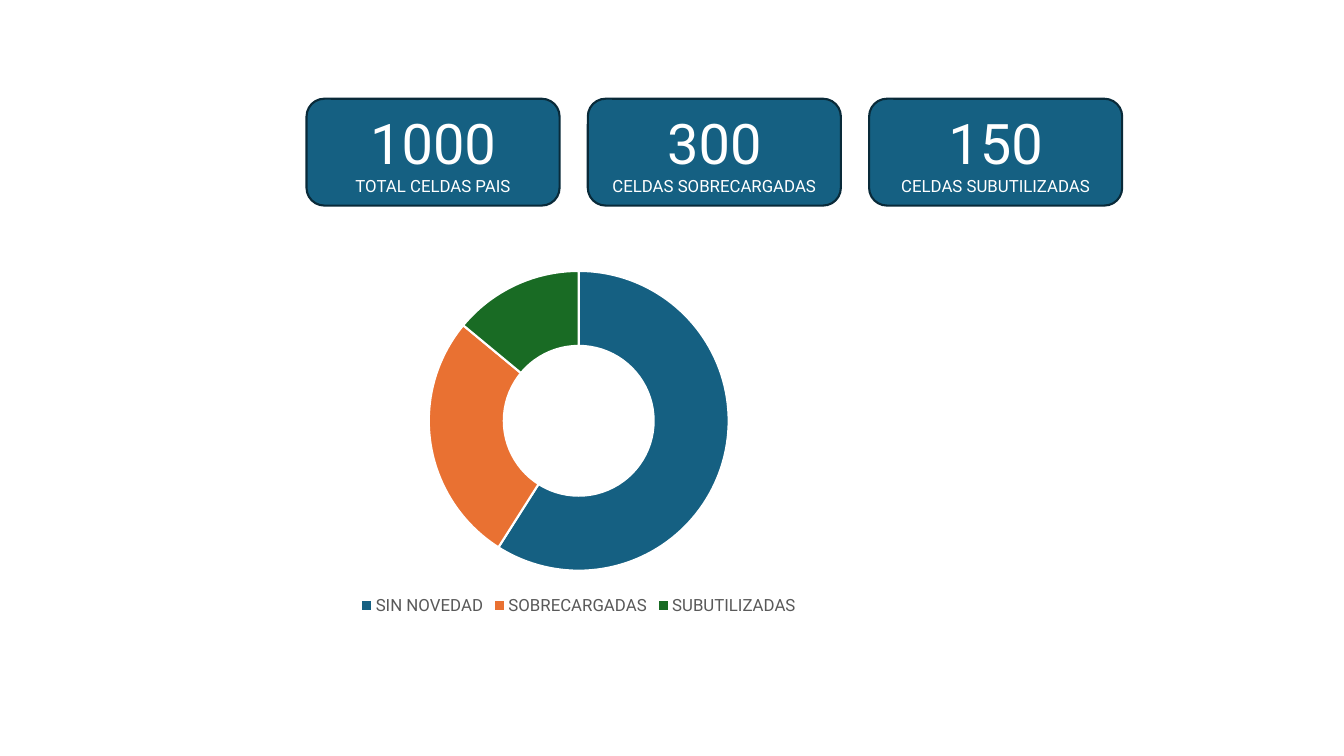
from pptx import Presentation
from pptx.chart.data import CategoryChartData
from pptx.dml.color import RGBColor
from pptx.enum.chart import XL_CHART_TYPE, XL_LEGEND_POSITION
from pptx.enum.shapes import MSO_SHAPE
from pptx.enum.text import MSO_ANCHOR, PP_ALIGN
from pptx.util import Inches, Pt

FONT = "Roboto"
BLUE, ORANGE, GREEN = "156082", "E97132", "196B24"
NAVY, WHITE, GREY = "092A39", "FFFFFF", "595959"

# Grid: cards repeat every COLUMN inches from the left margin
LEFT, COLUMN = 3.04, 2.79
CARD_TOP, CARD_WIDTH, CARD_HEIGHT = 0.98, 2.51, 1.06
CHART_TOP, CHART_WIDTH, CHART_HEIGHT = 2.55, 5.4, 3.6

CARDS = [
    ("1000", "TOTAL CELDAS PAIS"),
    ("300", "CELDAS SOBRECARGADAS"),
    ("150", "CELDAS SUBUTILIZADAS"),
]
STATES = [
    ("SIN NOVEDAD", 59, BLUE),
    ("SOBRECARGADAS", 27, ORANGE),
    ("SUBUTILIZADAS", 14, GREEN),
]


def color(hex_code):
    return RGBColor.from_string(hex_code)


def style_font(font, size, hex_code):
    font.name = FONT
    font.size = Pt(size)
    font.color.rgb = color(hex_code)


def paint(fmt, fill, line):
    fmt.fill.solid()
    fmt.fill.fore_color.rgb = color(fill)
    fmt.line.color.rgb = color(line)
    fmt.line.width = Pt(1.5)


def add_card(slide, column, count, label):
    card = slide.shapes.add_shape(
        MSO_SHAPE.ROUNDED_RECTANGLE,
        Inches(LEFT + column * COLUMN), Inches(CARD_TOP),
        Inches(CARD_WIDTH), Inches(CARD_HEIGHT))
    card.shadow.inherit = False
    paint(card, BLUE, NAVY)
    frame = card.text_frame
    frame.word_wrap = True
    frame.vertical_anchor = MSO_ANCHOR.MIDDLE
    lines = (frame.paragraphs[0], frame.add_paragraph())
    for line, text, size in zip(lines, (count, label), (40, 12)):
        line.alignment = PP_ALIGN.CENTER
        run = line.add_run()
        run.text = text
        style_font(run.font, size, WHITE)


def add_state_doughnut(slide):
    names, shares, hues = zip(*STATES)
    data = CategoryChartData()
    data.categories = names
    data.add_series("Series 1", shares)
    chart = slide.shapes.add_chart(
        XL_CHART_TYPE.DOUGHNUT, Inches(LEFT), Inches(CHART_TOP),
        Inches(CHART_WIDTH), Inches(CHART_HEIGHT), data).chart
    style_font(chart.font, 10, "000000")
    chart.has_title = False

    # Legend under the ring
    chart.has_legend = True
    chart.legend.position = XL_LEGEND_POSITION.BOTTOM
    chart.legend.include_in_layout = False
    style_font(chart.legend.font, 12, GREY)

    # One colour per state
    ring = chart.plots[0]
    ring.vary_by_categories = True
    for index, hue in enumerate(hues):
        paint(ring.series[0].points[index].format, hue, WHITE)


def main():
    prs = Presentation()
    prs.slide_width, prs.slide_height = Inches(13.33), Inches(7.5)
    slide = prs.slides.add_slide(prs.slide_layouts[6])

    # Key figures
    for column, (count, label) in enumerate(CARDS):
        add_card(slide, column, count, label)

    # Share of cells by state
    add_state_doughnut(slide)
    prs.save("out.pptx")


if __name__ == "__main__":
    main()
